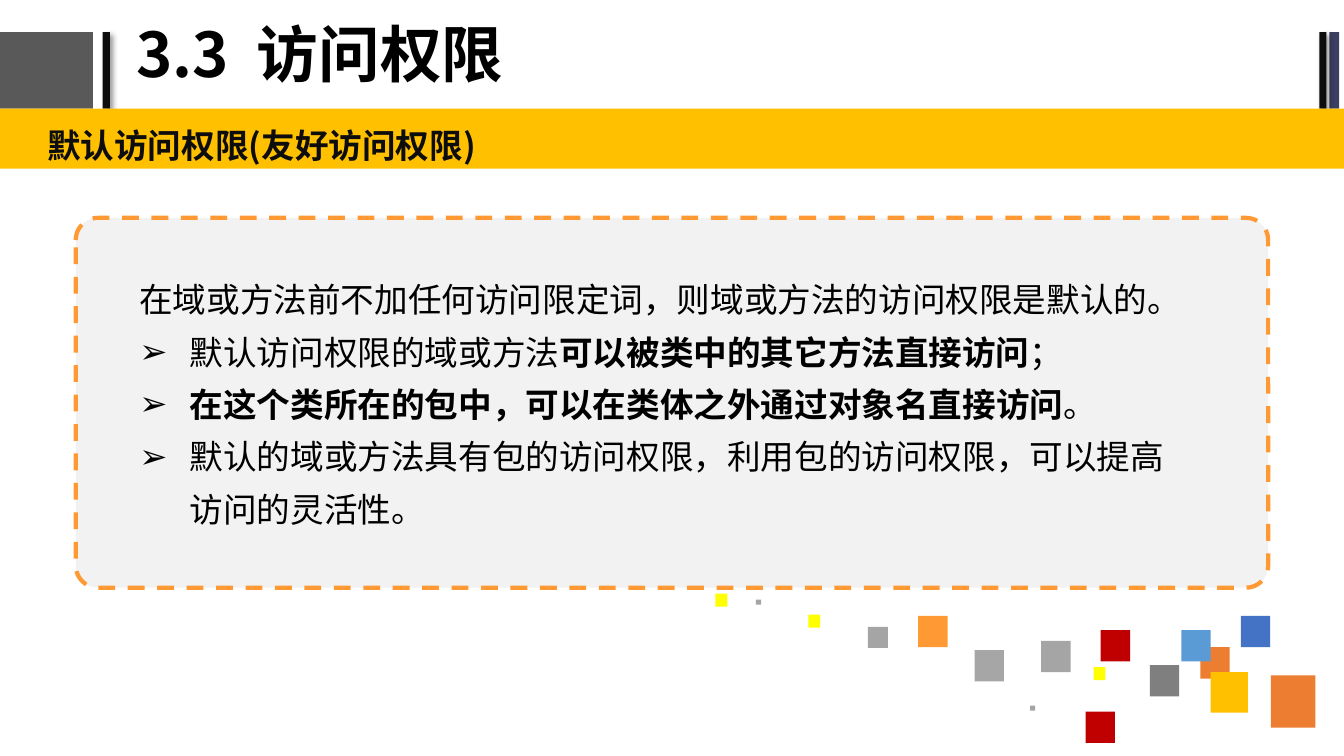
from dataclasses import dataclass

from lxml import etree
from pptx import Presentation
from pptx import util as u
from pptx.dml.color import RGBColor
from pptx.enum import dml, shapes, text
from pptx.oxml import ns

FONT = "Noto Sans CJK SC"
BLACK = RGBColor(0x00, 0x00, 0x00)
INK = RGBColor(0x0D, 0x0D, 0x0D)
SLATE = RGBColor(0x59, 0x59, 0x59)
NAVY = RGBColor(0x3B, 0x3F, 0x60)
GOLD = RGBColor(0xFF, 0xC0, 0x00)
PALE = RGBColor(0xF2, 0xF2, 0xF2)
AMBER = RGBColor(0xFF, 0x99, 0x33)
RUST = RGBColor(0xED, 0x7D, 0x31)
SKY = RGBColor(0x5B, 0x9B, 0xD5)
BLUE = RGBColor(0x44, 0x72, 0xC4)
GREY = RGBColor(0xA5, 0xA5, 0xA5)
ASH = RGBColor(0xA6, 0xA6, 0xA6)
SMOKE = RGBColor(0x7F, 0x7F, 0x7F)
RED = RGBColor(0xC0, 0x00, 0x00)
LEMON = RGBColor(0xFF, 0xFF, 0x00)

DOT = (0.13, 0.13)
CHIP = (0.3, 0.33)
SMALL = (0.51, 0.53)
TILE = (0.74, 0.79)
LARGE = (0.94, 1.02)
HUGE = (1.12, 1.32)


@dataclass(frozen=True)
class Bar:
    left: float
    width: float
    color: RGBColor
    shade: bool = False


@dataclass(frozen=True)
class Square:
    left: float
    top: float
    size: tuple[float, float]
    color: RGBColor


@dataclass(frozen=True)
class Line:
    spans: tuple[tuple[str, bool], ...]
    mark: str = ""


BARS = (
    Bar(-0.05, 2.39, SLATE),
    Bar(2.59, 0.18, INK, True),
    Bar(33.5, 0.25, NAVY),
    Bar(33.25, 0.18, INK, True),
)

SQUARES = (
    Square(32.03, 17.02, HUGE, RUST),
    Square(30.25, 16.31, TILE, RUST),
    Square(30.51, 16.94, LARGE, GOLD),
    Square(29.77, 15.88, TILE, SKY),
    Square(25.96, 17.78, DOT, GREY),
    Square(31.27, 15.52, TILE, BLUE),
    Square(27.56, 16.81, CHIP, LEMON),
    Square(26.24, 16.15, TILE, GREY),
    Square(27.74, 15.88, TILE, RED),
    Square(28.98, 16.76, TILE, SMOKE),
    Square(27.36, 17.93, TILE, RED),
    Square(19.05, 15.11, DOT, GREY),
    Square(20.37, 15.49, CHIP, LEMON),
    Square(21.87, 15.8, SMALL, GREY),
    Square(23.14, 15.52, TILE, AMBER),
    Square(24.56, 16.38, TILE, ASH),
    Square(18.03, 14.96, CHIP, LEMON),
)

LINES = (
    Line((("在域或方法前不加任何访问限定词，则域或方法的访问权限是默认的。", False),)),
    Line((("默认访问权限的域或方法", False),
          ("可以被类中的其它方法直接访问", True),
          ("；", False)), "➢"),
    Line((("在这个类所在的包中，可以在类体之外通过对象名直接访问", True),
          ("。", False)), "➢"),
    Line((("默认的域或方法具有包的访问权限，利用包的访问权限，可以提高访问的灵活性。", False),), "➢"),
)


def add_node(home, tag: str, **attrs: str):
    return etree.SubElement(home, ns.qn(tag), attrs)


def place(shape, left: float, top: float, width: float, height: float) -> None:
    shape.left, shape.top = u.Cm(left), u.Cm(top)
    shape.width, shape.height = u.Cm(width), u.Cm(height)


def block(home, left: float, top: float, width: float, height: float,
          color: RGBColor, kind=shapes.MSO_SHAPE.RECTANGLE):
    shape = home.add_shape(kind, u.Cm(left), u.Cm(top), u.Cm(width), u.Cm(height))
    shape.shadow.inherit = False
    shape.fill.solid()
    shape.fill.fore_color.rgb = color
    shape.line.fill.background()
    return shape


def cast(shape) -> None:
    glow = shape._element.spPr.find(ns.qn("a:effectLst"))
    drop = add_node(glow, "a:outerShdw", blurRad=str(u.Pt(4)), dist=str(u.Pt(3)),
                    dir="2700000", algn="tl", rotWithShape="0")
    tint = add_node(drop, "a:srgbClr", val=str(BLACK))
    add_node(tint, "a:alpha", val="40000")


def set_mark(para, mark: str) -> None:
    props = para._p.get_or_add_pPr()
    hang = u.Cm(1.27) if mark else 0
    props.set("marL", str(hang))
    props.set("indent", str(-hang))
    if mark:
        add_node(props, "a:buChar", char=mark)
    else:
        add_node(props, "a:buNone")


def write(frame, lines: tuple[Line, ...], *, size: float, color: RGBColor, gap: float,
          anchor=text.MSO_ANCHOR.TOP, inset: tuple[float, float] = (0.33, 0.18)) -> None:
    frame.word_wrap = True
    frame.auto_size = text.MSO_AUTO_SIZE.NONE
    frame.vertical_anchor = anchor
    frame.margin_left = frame.margin_right = u.Cm(inset[0])
    frame.margin_top = frame.margin_bottom = u.Cm(inset[1])
    for spot, line in enumerate(lines):
        para = frame.add_paragraph() if spot else frame.paragraphs[0]
        para.alignment = text.PP_ALIGN.LEFT
        para.line_spacing = gap
        para.space_before = u.Pt(0)
        set_mark(para, line.mark)
        for words, bold in line.spans:
            run = para.add_run()
            run.text = words
            run.font.size = u.Pt(size)
            run.font.bold = bold
            run.font.color.rgb = color
            run.font.name = FONT
            add_node(run.font._element, "a:ea", typeface=FONT)


def main() -> None:
    deck = Presentation()
    deck.slide_width, deck.slide_height = u.Cm(33.87), u.Cm(19.05)
    slide = deck.slides.add_slide(deck.slide_layouts[1])
    items = slide.shapes
    title, body = items.title, slide.placeholders[1]

    for bar in BARS:
        shape = block(items, bar.left, 0.81, bar.width, 1.93, bar.color)
        if bar.shade:
            cast(shape)

    place(title, 3.18, 0.05, 21.51, 2.79)
    write(title.text_frame, (Line((("3.3  访问权限", True),)),), size=44, color=BLACK,
          gap=0.9, anchor=text.MSO_ANCHOR.MIDDLE, inset=(0.25, 0.13))

    block(items, 0, 2.74, 33.87, 1.51, GOLD)
    label = items.add_textbox(u.Cm(0.86), u.Cm(2.77), u.Cm(32.99), u.Cm(1.47))
    write(label.text_frame, (Line((("默认访问权限(友好访问权限)", True),)),),
          size=24, color=INK, gap=1.2)

    card = block(items, 1.91, 5.49, 30.05, 9.32, PALE, shapes.MSO_SHAPE.ROUNDED_RECTANGLE)
    card.adjustments[0] = 0.06
    card.line.color.rgb = AMBER
    card.line.width = u.Pt(3)
    card.line.dash_style = dml.MSO_LINE.DASH

    place(body, 3.18, 6.55, 27.31, 8.26)
    write(body.text_frame, LINES, size=24, color=BLACK, gap=1.3)
    card._element.addnext(body._element)

    group = items.add_group_shape()
    for square in SQUARES:
        block(group.shapes, square.left, square.top, *square.size, square.color)

    deck.save("out.pptx")


if __name__ == "__main__":
    main()
